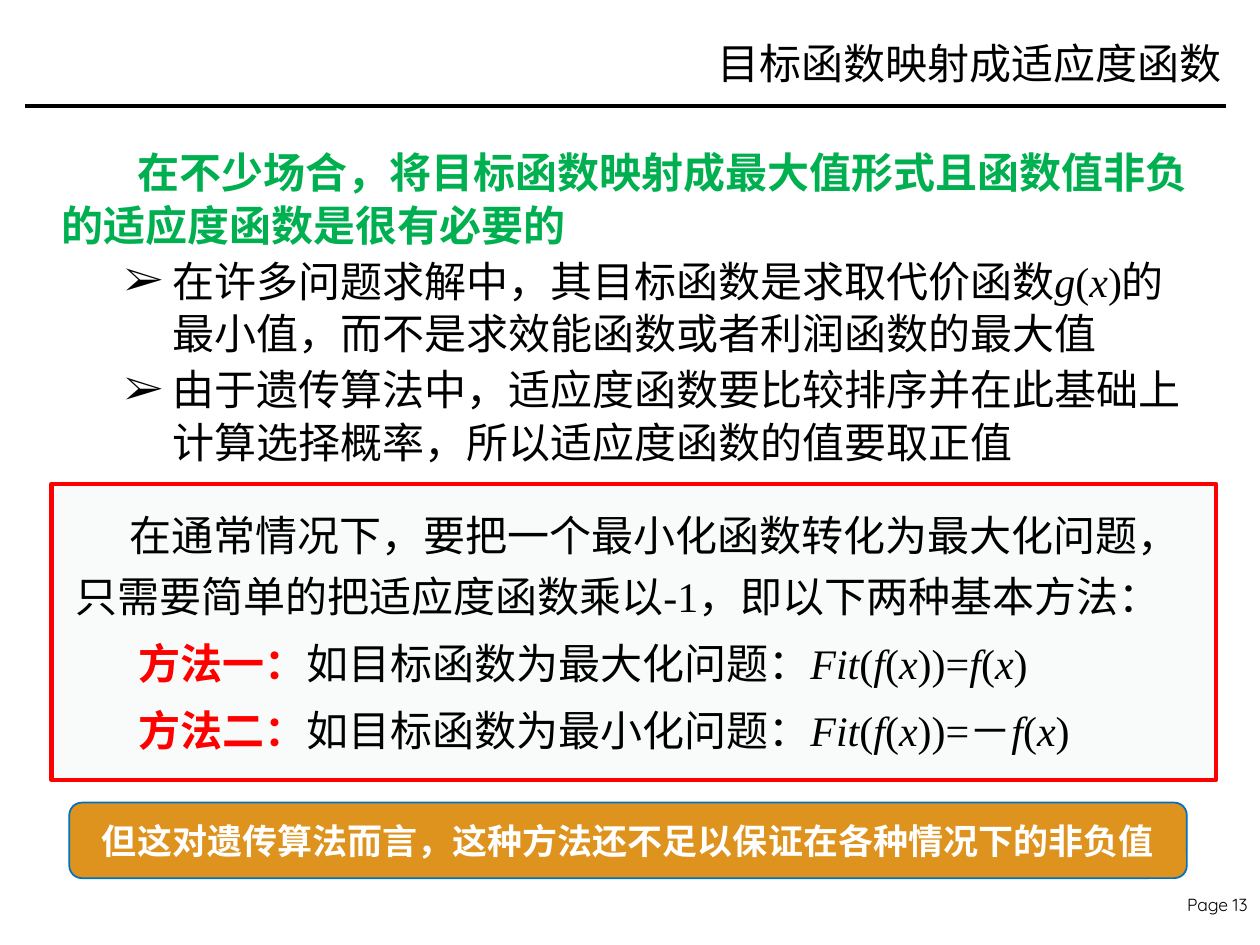
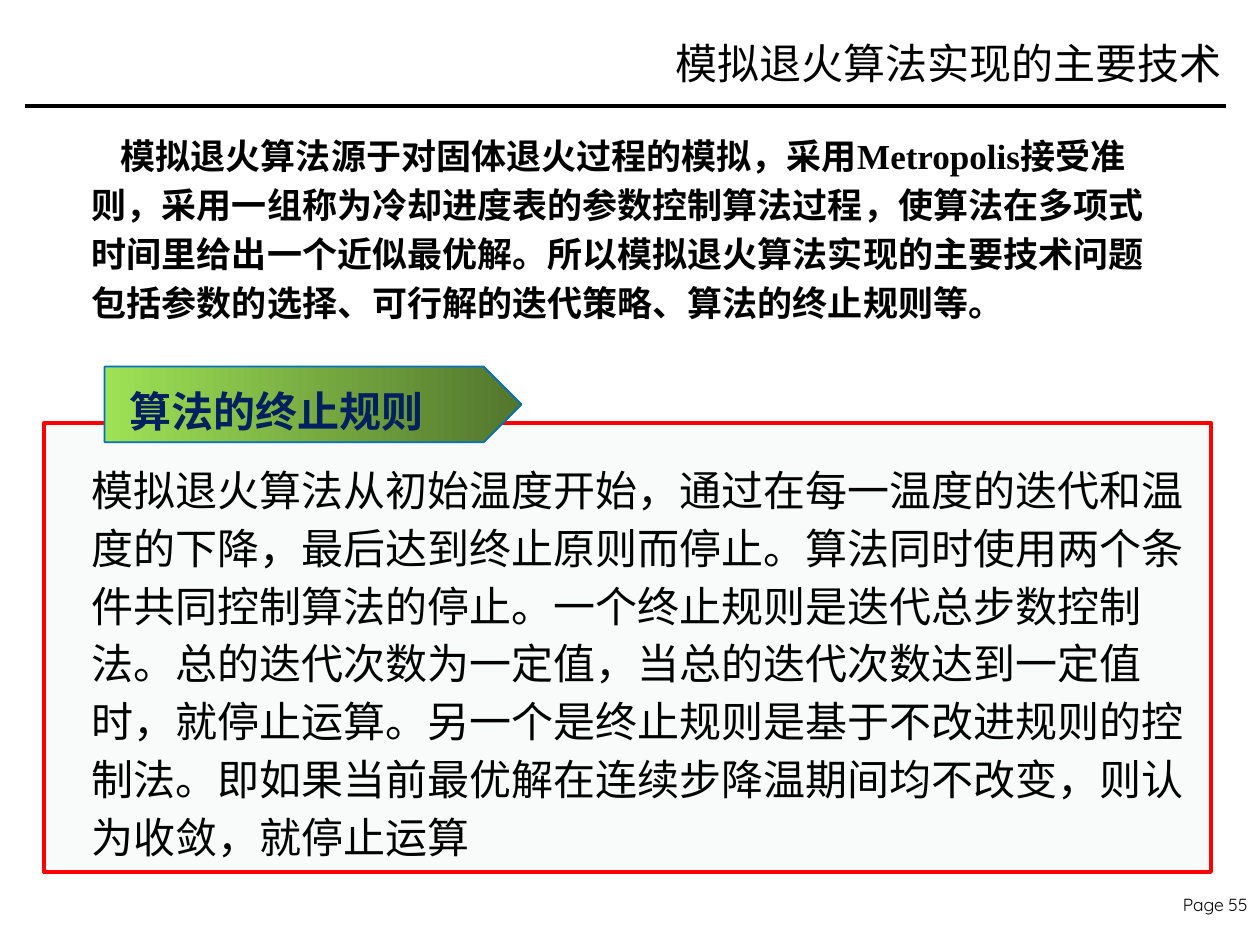
from itertools import groupby

from lxml.etree import SubElement
from pptx import Presentation
from pptx.dml.color import RGBColor
from pptx.enum.shapes import MSO_CONNECTOR, MSO_SHAPE
from pptx.enum.text import MSO_ANCHOR, PP_ALIGN
from pptx.oxml.ns import qn
from pptx.util import Inches, Pt

BLACK, WHITE, RED, GREEN, NAVY = "000000", "FFFFFF", "FF0000", "00B050", "002060"
PANEL, ORANGE, BLUE = "F9FBFA", "DE931E", "0070C0"
LIME, OLIVE = "9EE256", "52762D"
SERIF, CHINESE, PAGE_FONT = "Times New Roman", "Noto Sans CJK SC", "Quicksand"


def rgb(value):
    """Turn a hex string into a colour."""
    return RGBColor.from_string(value)


def formula(expression):
    """Split a formula into italic letters and upright signs."""
    return [("".join(part), {"italic": letters})
            for letters, part in groupby(expression, lambda sign: sign.isascii() and sign.isalpha())]


class Deck:
    """Hold the shared style and the slide being filled."""

    def __init__(self):
        """Start an empty 10 by 7.5 inch presentation."""
        self.presentation = Presentation()
        self.presentation.slide_width = Inches(10)
        self.presentation.slide_height = Inches(7.5)
        self.slide = None

    def new_slide(self, title, page):
        """Add a slide with its title, rule and page number."""
        self.slide = self.presentation.slides.add_slide(self.presentation.slide_layouts[6])
        self.text((9.2, 7.05, 0.8, 0.26), [f"Page {page}"], size=10, font=PAGE_FONT,
                  align=PP_ALIGN.RIGHT)
        self.rule(0.2, 9.73, 0.84)
        self.text((4.29, 0.12, 5.5, 0.75), [title], align=PP_ALIGN.RIGHT,
                  anchor=MSO_ANCHOR.MIDDLE)

    def rule(self, left, right, top):
        """Draw a horizontal black line."""
        line = self.slide.shapes.add_connector(
            MSO_CONNECTOR.STRAIGHT, Inches(left), Inches(top), Inches(right), Inches(top))
        line.line.color.rgb = rgb(BLACK)
        line.line.width = Pt(2)
        SubElement(line._element.spPr, qn("a:effectLst"))

    def shape(self, kind, box, fills, outline, width):
        """Draw a preset shape with a plain or two-colour fill."""
        shape = self.slide.shapes.add_shape(kind, *map(Inches, box))
        shape.shadow.inherit = False
        if len(fills) == 1:
            shape.fill.solid()
            shape.fill.fore_color.rgb = rgb(fills[0])
        else:
            shape.fill.gradient()
            shape.fill.gradient_angle = 0
            for stop, color in zip(shape.fill.gradient_stops, fills):
                stop.color.rgb = rgb(color)
        shape.line.color.rgb = rgb(outline)
        shape.line.width = Pt(width)
        return shape

    def panel(self, box):
        """Draw a pale panel with a red border."""
        self.shape(MSO_SHAPE.RECTANGLE, box, [PANEL], RED, 2.5)

    def text(self, box, runs, anchor=MSO_ANCHOR.TOP, **style):
        """Add a wrapping text box with its first paragraph."""
        frame = self.slide.shapes.add_textbox(*map(Inches, box)).text_frame
        frame.word_wrap = True
        frame.vertical_anchor = anchor
        self.paragraph(frame.paragraphs[0], runs, **style)
        return frame

    def paragraph(self, paragraph, runs, align=PP_ALIGN.LEFT, spacing=None, before=0,
                  margin=0, indent=0, bullet=None, **style):
        """Format a paragraph and fill it run by run."""
        properties = paragraph._p.get_or_add_pPr()
        properties.set("marL", str(Inches(margin)))
        properties.set("indent", str(Inches(indent)))
        properties.set("hangingPunct", "0")
        paragraph.alignment = align
        paragraph.space_before = Pt(before)
        if spacing:
            paragraph.line_spacing = Pt(spacing)
        if bullet:
            SubElement(properties, qn("a:buFont"), typeface=SERIF)
            SubElement(properties, qn("a:buChar"), char=bullet)
        for item in runs:
            words, changes = (item, {}) if isinstance(item, str) else item
            self.run(paragraph, words, **{**style, **changes})

    def run(self, paragraph, words, size=24, font=SERIF, color=BLACK, bold=False, italic=False):
        """Add one run in the given style."""
        run = paragraph.add_run()
        run.text = words
        run.font.size = Pt(size)
        run.font.name = font
        run.font.bold = bold
        run.font.italic = italic
        run.font.color.rgb = rgb(color)
        SubElement(run._r.get_or_add_rPr(), qn("a:ea"), typeface=CHINESE)


def fitness_slide(deck):
    """Build the slide on mapping objectives to fitness."""
    deck.new_slide("目标函数映射成适应度函数", 13)
    reasons = deck.text((0.39, 1.1, 9.13, 2.68),
                        ["在不少场合，将目标函数映射成最大值形式且函数值非负的适应度函数是很有必要的"],
                        spacing=30, indent=0.6, color=GREEN, bold=True)
    for reason in (
        ["在许多问题求解中，其目标函数是求取代价函数", *formula("g(x)"),
         "的最小值，而不是求效能函数或者利润函数的最大值"],
        ["由于遗传算法中，适应度函数要比较排序并在此基础上计算选择概率，所以适应度函数的值要取正值"],
    ):
        deck.paragraph(reasons.add_paragraph(), reason, spacing=30, before=2,
                       margin=0.88, indent=-0.38, bullet="➢")

    deck.panel((0.41, 3.84, 9.24, 2.35))
    methods = deck.text((0.5, 3.91, 9.05, 2.68),
                        ["在通常情况下，要把一个最小化函数转化为最大化问题，"
                         "只需要简单的把适应度函数乘以-1，即以下两种基本方法："],
                        spacing=35, indent=0.43)
    for method, case, fitness in (
        ("方法一：", "如目标函数为最大化问题：", "Fit(f(x))=f(x)"),
        ("方法二：", "如目标函数为最小化问题：", "Fit(f(x))=－f(x)"),
    ):
        deck.paragraph(methods.add_paragraph(),
                       [(method, {"color": RED, "bold": True}), case, *formula(fitness)],
                       spacing=35, before=3, margin=0.5)

    warning = deck.shape(MSO_SHAPE.ROUNDED_RECTANGLE, (0.55, 6.37, 8.87, 0.6),
                         [ORANGE], BLUE, 1)
    warning.text_frame.vertical_anchor = MSO_ANCHOR.MIDDLE
    deck.paragraph(warning.text_frame.paragraphs[0],
                   ["但这对遗传算法而言，这种方法还不足以保证在各种情况下的非负值"],
                   align=PP_ALIGN.CENTER, size=20, color=WHITE, bold=True)


def annealing_slide(deck):
    """Build the slide on simulated annealing."""
    deck.new_slide("模拟退火算法实现的主要技术", 55)
    deck.text((0.63, 0.96, 8.65, 1.67),
              ["模拟退火算法源于对固体退火过程的模拟，采用", ("Metropolis", {"font": SERIF}),
               "接受准则，采用一组称为冷却进度表的参数控制算法过程，"
               "使算法在多项式时间里给出一个近似最优解。"
               "所以模拟退火算法实现的主要技术问题包括参数的选择、"
               "可行解的迭代策略、算法的终止规则等。"],
              spacing=28, indent=0.23, size=20, font=CHINESE, bold=True)
    deck.panel((0.35, 3.36, 9.26, 3.56))
    deck.shape(MSO_SHAPE.PENTAGON, (0.83, 2.91, 3.31, 0.6), [LIME, OLIVE], BLUE, 1)
    deck.text((0.93, 3.01, 2.78, 0.5), ["算法的终止规则"], color=NAVY, bold=True)
    deck.text((0.63, 3.58, 8.98, 3.34),
              ["模拟退火算法从初始温度开始，通过在每一温度的迭代和温度的下降，"
               "最后达到终止原则而停止。算法同时使用两个条件共同控制算法的停止。"
               "一个终止规则是迭代总步数控制法。总的迭代次数为一定值，"
               "当总的迭代次数达到一定值时，就停止运算。"
               "另一个是终止规则是基于不改进规则的控制法。"
               "即如果当前最优解在连续步降温期间均不改变，则认为收敛，就停止运算"],
              spacing=33)


def main():
    """Build and save both slides."""
    deck = Deck()
    fitness_slide(deck)
    annealing_slide(deck)
    deck.presentation.save("out.pptx")


if __name__ == "__main__":
    main()
